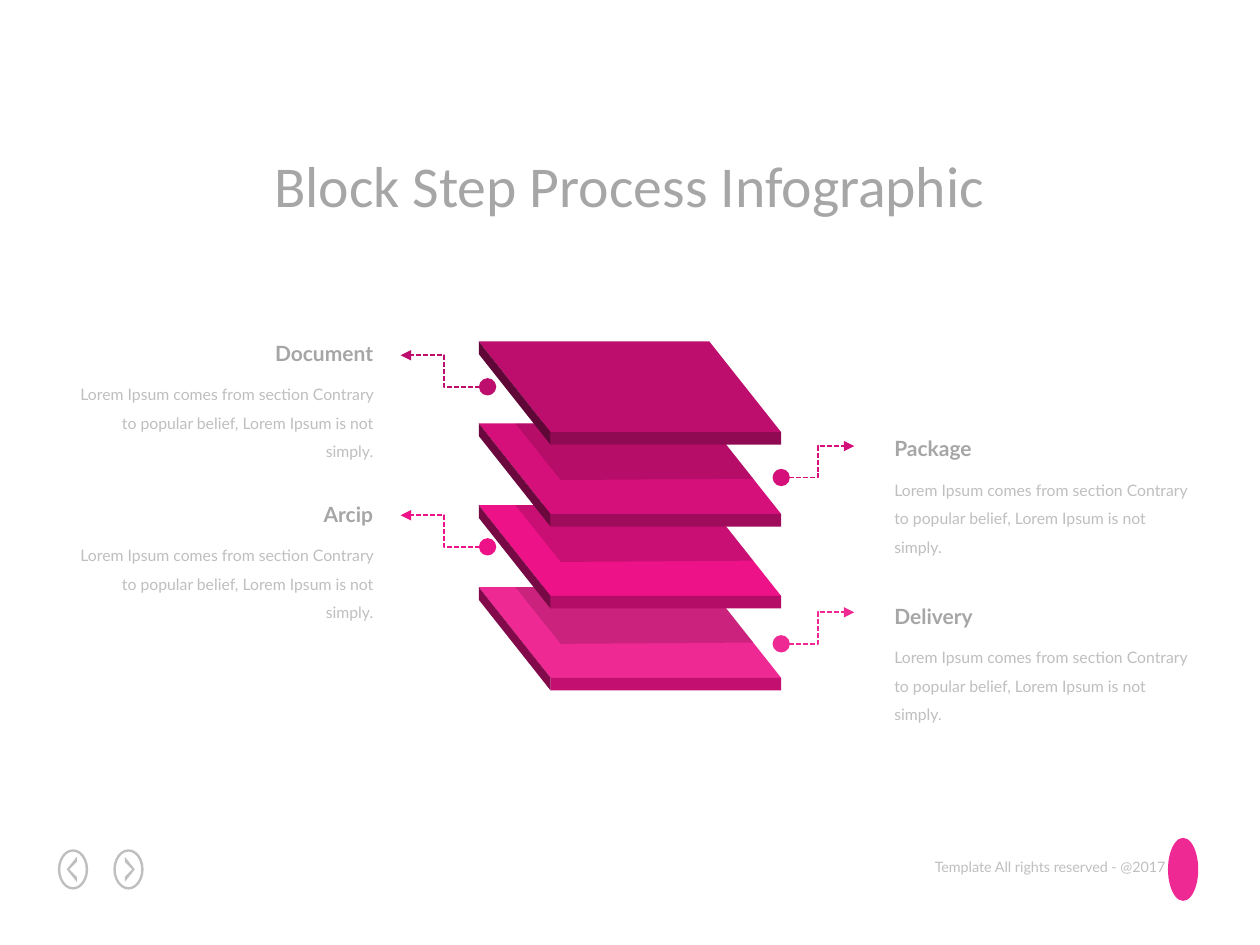
"""Build the block step process infographic slide."""
from dataclasses import dataclass

from lxml import etree
from pptx import Presentation
from pptx import util as u
from pptx.dml.color import RGBColor
from pptx.enum import dml, shapes, text
from pptx.oxml import ns

LOREM = ("Lorem Ipsum comes from section Contrary to popular belief, "
         "Lorem Ipsum is not simply.")
GREY, LIGHT_GREY, PINK = "A6A6A6", "BFBFBF", "EF2994"
LEFT, RIGHT, CENTER = text.PP_ALIGN.LEFT, text.PP_ALIGN.RIGHT, text.PP_ALIGN.CENTER


@dataclass(frozen=True)
class Layer:
    top_color: str
    side_color: str
    front_color: str


@dataclass(frozen=True)
class Step:
    heading: str
    heading_width: float
    top: float
    on_left: bool
    arrow_top: float
    color: str


LAYERS = [
    Layer("BE0E6D", "5F0737", "8F0A52"),
    Layer("D6107B", "6B083E", "A00C5C"),
    Layer("EE1289", "770945", "B30D67"),
    Layer(PINK, "820A4B", "C30F70"),
]
STEPS = [
    Step("Document", 0.99, 2.65, True, 2.82, "BE0E6D"),
    Step("Arcip", 0.6, 3.93, True, 4.09, "EE1289"),
    Step("Package", 0.83, 3.41, False, 3.54, "D6107B"),
    Step("Delivery", 0.83, 4.74, False, 4.86, PINK),
]
STACK_TOP, LAYER_PITCH = 2.7, 0.65


def set_color(color_format, color: str) -> None:
    color_format.rgb = RGBColor.from_string(color)


def paint(shape, color: str, alpha: int = 100) -> None:
    shape.shadow.inherit = False
    shape.fill.solid()
    set_color(shape.fill.fore_color, color)
    shape.line.fill.background()
    if alpha < 100:
        fill = shape.fill._xPr.find(ns.qn("a:solidFill"))
        etree.SubElement(fill[0], ns.qn("a:alpha"), val=str(alpha * 1000))


def write(shape, content: str, *, size: float, color: str, font: str = "Lato",
          bold: bool = False, align=LEFT, spacing: float = 1.0,
          wrap: bool = False) -> None:
    frame = shape.text_frame
    frame.word_wrap = wrap
    frame.auto_size = text.MSO_AUTO_SIZE.SHAPE_TO_FIT_TEXT
    paragraph = frame.paragraphs[0]
    paragraph.alignment = align
    paragraph.line_spacing = spacing
    run = paragraph.add_run()
    run.text = content
    run.font.name, run.font.size, run.font.bold = font, u.Pt(size), bold
    set_color(run.font.color, color)


def add_text(slide, box: tuple, content: str, **style) -> None:
    write(slide.shapes.add_textbox(*map(u.Inches, box)), content, **style)


def add_preset(slide, kind, box: tuple, color: str):
    shape = slide.shapes.add_shape(kind, *map(u.Inches, box))
    paint(shape, color)
    return shape


def add_polygon(slide, points: list, color: str, alpha: int = 100) -> None:
    corners = [(u.Inches(x), u.Inches(y)) for x, y in points]
    builder = slide.shapes.build_freeform(*corners[0])
    builder.add_line_segments(corners[1:], close=True)
    paint(builder.convert_to_shape(), color, alpha)


def add_layer(slide, layer: Layer, top: float, shaded: bool) -> None:
    back, front = top + 0.01, top + 0.73
    add_polygon(slide, [(4.37, front), (6.2, front), (5.63, back), (3.8, back)],
                layer.top_color)
    add_polygon(slide, [(3.8, back), (3.8, top + 0.11), (4.37, top + 0.83),
                        (4.37, front)], layer.side_color)
    add_preset(slide, shapes.MSO_SHAPE.RECTANGLE, (4.37, front, 1.83, 0.1),
               layer.front_color)
    if shaded:
        add_polygon(slide, [(4.45, top + 0.46), (5.98, top + 0.45),
                            (5.63, back), (4.09, back)], "000000", alpha=15)


def add_arrow(slide, start_x: float, end_x: float, end_y: float, color: str) -> None:
    ends = map(u.Inches, (start_x, end_y + 0.25, end_x, end_y))
    connector = slide.shapes.add_connector(shapes.MSO_CONNECTOR.ELBOW, *ends)
    connector.line.width = u.Pt(1)
    set_color(connector.line.color, color)
    connector.line.dash_style = dml.MSO_LINE.SQUARE_DOT
    line = connector.line._get_or_add_ln()
    etree.SubElement(line, ns.qn("a:headEnd"), type="oval", w="lg", len="lg")
    etree.SubElement(line, ns.qn("a:tailEnd"), type="triangle")
    etree.SubElement(connector._element.spPr, ns.qn("a:effectLst"))


def add_step(slide, step: Step) -> None:
    align = RIGHT if step.on_left else LEFT
    heading_left = 3.06 - step.heading_width if step.on_left else 7
    start_x, end_x = (3.87, 3.18) if step.on_left else (6.2, 6.78)
    add_arrow(slide, start_x, end_x, step.arrow_top, step.color)
    add_text(slide, (0.49 if step.on_left else 7, step.top + 0.28, 2.57, 0.78), LOREM,
             size=9, color=LIGHT_GREY, align=align, spacing=1.5, wrap=True)
    add_text(slide, (heading_left, step.top, step.heading_width, 0.3), step.heading,
             size=12, color=GREY, bold=True, align=align)


def add_button(slide, center: float, direction: int) -> None:
    ring = add_preset(slide, shapes.MSO_SHAPE.DONUT,
                      (center - 0.12, 6.74, 0.24, 0.32), LIGHT_GREY)
    ring.adjustments[0] = 0.08
    chevron = [(-0.03, -0.06), (0.03, 0), (-0.03, 0.06),
               (-0.03, 0.1), (0.05, 0), (-0.03, -0.1)]
    add_polygon(slide, [(center + direction * x, 6.9 + y) for x, y in chevron],
                LIGHT_GREY)


def main() -> None:
    presentation = Presentation()
    presentation.slide_width, presentation.slide_height = u.Inches(10), u.Inches(7.5)
    slide = presentation.slides.add_slide(presentation.slide_layouts[5])

    title = slide.shapes.title
    title.left, title.top, title.width, title.height = map(
        u.Inches, (1.75, 1.13, 6.49, 0.66))
    write(title, "Block Step Process Infographic", size=33, color=GREY,
          font="Calibri", align=CENTER)

    add_preset(slide, shapes.MSO_SHAPE.OVAL, (9.27, 6.65, 0.24, 0.5), PINK)
    add_text(slide, (7.25, 6.76, 2.1, 0.24), "Template All rights reserved - @2017",
             size=8.2, color=LIGHT_GREY, align=RIGHT)
    add_button(slide, 0.58, -1)
    add_button(slide, 1.02, 1)

    for index, layer in reversed(list(enumerate(LAYERS))):
        add_layer(slide, layer, STACK_TOP + LAYER_PITCH * index, shaded=index > 0)
    for step in STEPS:
        add_step(slide, step)
    presentation.save("out.pptx")


if __name__ == "__main__":
    main()
